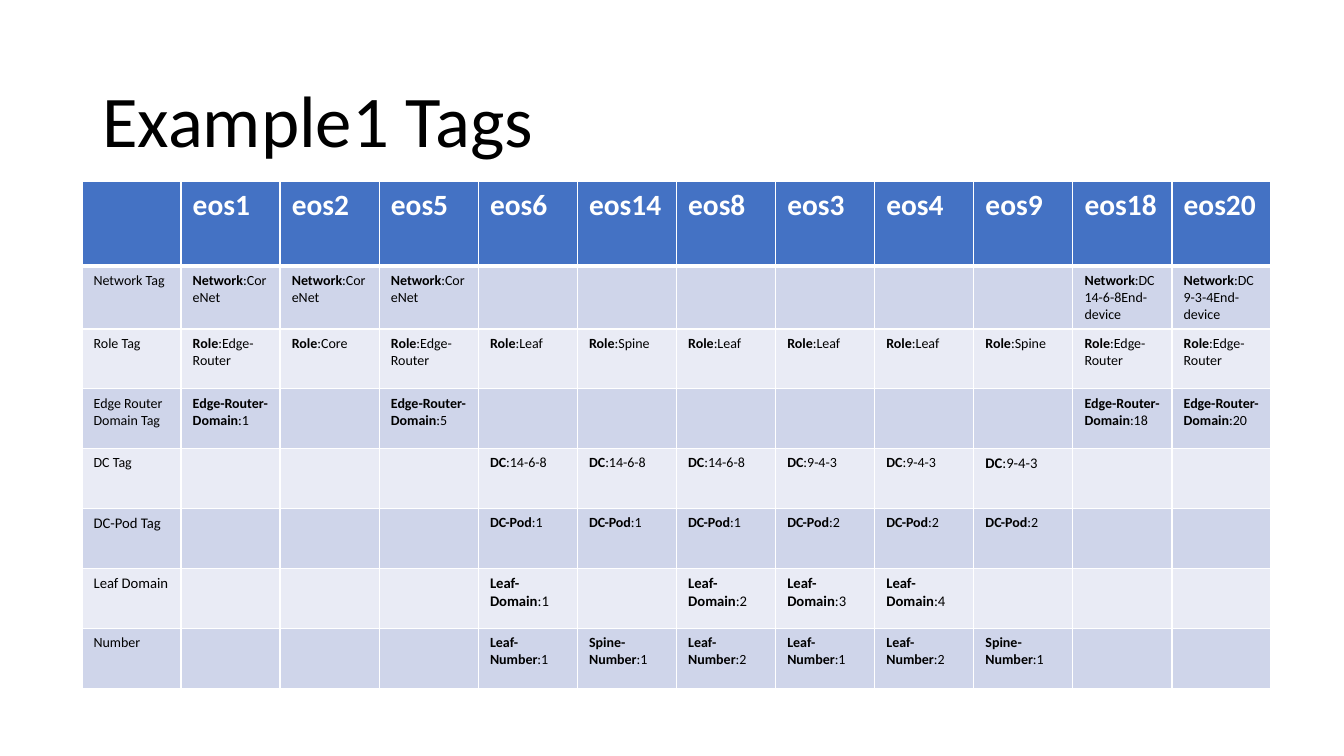
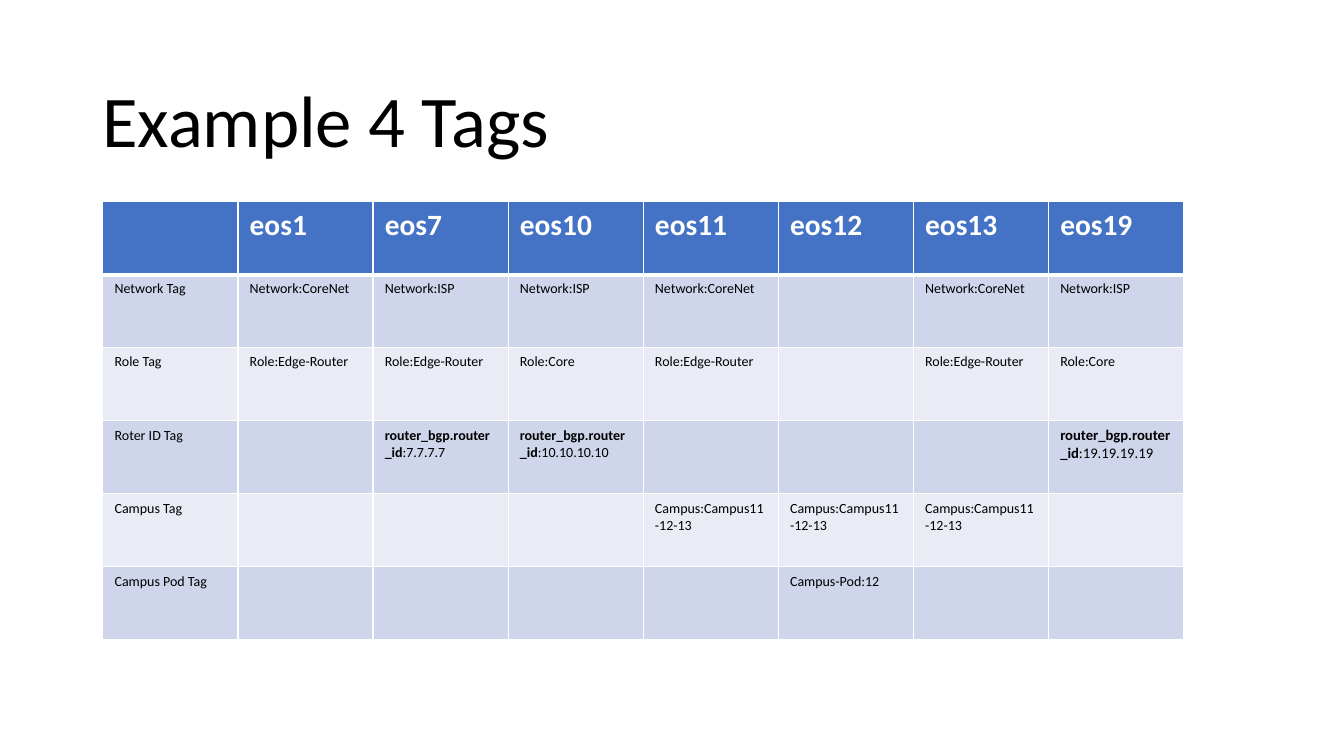
from lxml import etree
from pptx import Presentation
from pptx.dml.color import RGBColor as RGB
from pptx.enum.text import MSO_ANCHOR as ANCHOR, MSO_AUTO_SIZE as AUTO, PP_ALIGN as ALIGN
from pptx.oxml.ns import qn
from pptx.util import Pt

COLORS = {
    "text": "000000",
    "light": "FFFFFF",
    "header": "4472C4",
    "odd": "CFD5EA",
    "even": "E9EBF5",
}


class Deck:
    font = "Calibri"
    title_size, header_size, body_size, large_size = 52, 21, 10, 10.5
    margin_x, margin_y = 8.4, 4.3
    rule, header_rule = 1, 3

    def __init__(self):
        self.prs = Presentation()
        self.prs.slide_width, self.prs.slide_height = Pt(960), Pt(540)
        self.s = None

    def color(self, name):
        return RGB.from_string(COLORS[name])

    def run(self, p, text, size, color="text", bold=False):
        r = p.add_run()
        r.text = text
        r.font.name, r.font.size, r.font.bold = self.font, Pt(size), bold
        r.font.color.rgb = self.color(color)

    def slide(self, title):
        self.s = self.prs.slides.add_slide(self.prs.slide_layouts[5])
        sp = self.s.shapes.title
        sp.left, sp.top, sp.width, sp.height = Pt(66), Pt(44), Pt(828), Pt(89)
        tf = sp.text_frame
        tf.auto_size, tf.word_wrap = AUTO.NONE, True
        tf.vertical_anchor = ANCHOR.MIDDLE
        p = tf.paragraphs[0]
        p.alignment, p.line_spacing = ALIGN.LEFT, 0.9
        self.run(p, title, self.title_size)

    def borders(self, cell, top, bottom):
        tcPr = cell._tc.get_or_add_tcPr()
        sides = {"L": self.rule, "R": self.rule, "T": top, "B": bottom}
        for i, (side, width) in enumerate(sides.items()):
            ln = etree.Element(qn(f"a:ln{side}"), w=str(Pt(width)))
            fill = etree.SubElement(ln, qn("a:solidFill"))
            etree.SubElement(fill, qn("a:srgbClr"), val=COLORS["light"])
            tcPr.insert(i, ln)

    def cell(self, cell, row, text, size, bold_keys):
        fill = "header" if row == 0 else "odd" if row % 2 else "even"
        cell.fill.solid()
        cell.fill.fore_color.rgb = self.color(fill)
        cell.margin_left = cell.margin_right = Pt(self.margin_x)
        cell.margin_top = cell.margin_bottom = Pt(self.margin_y)
        self.borders(cell,
                     self.header_rule if row == 1 else self.rule,
                     self.header_rule if row == 0 else self.rule)
        p = cell.text_frame.paragraphs[0]
        key, colon, value = text.partition(":")
        if row == 0 and text:
            self.run(p, text, self.header_size, "light", True)
        elif key in bold_keys:
            self.run(p, key, size, bold=True)
            self.run(p, colon + value, size)
        elif text:
            self.run(p, text, size)

    def table(self, left, top, col_width, heights, rows, bold_keys, large):
        cols = len(rows[0])
        tbl = self.s.shapes.add_table(len(rows), cols, Pt(left), Pt(top),
                                      Pt(col_width * cols), Pt(sum(heights))).table
        for col in tbl.columns:
            col.width = Pt(col_width)
        for i, (texts, height) in enumerate(zip(rows, heights)):
            tbl.rows[i].height = Pt(height)
            for j, text in enumerate(texts):
                size = self.large_size if (i, j) in large else self.body_size
                self.cell(tbl.cell(i, j), i, text, size, bold_keys)


def blank(count):
    return [""] * count


def main():
    deck = Deck()
    core, edge = "Network:CoreNet", "Role:Edge-Router"
    leaf, spine = "Role:Leaf", "Role:Spine"

    deck.slide("Example1 Tags")
    rows = [
        ["", "eos1", "eos2", "eos5", "eos6", "eos14", "eos8", "eos3", "eos4",
         "eos9", "eos18", "eos20"],
        ["Network Tag", core, core, core, *blank(6),
         "Network:DC14-6-8End-device", "Network:DC9-3-4End-device"],
        ["Role Tag", edge, "Role:Core", edge, leaf, spine, leaf, leaf, leaf,
         spine, edge, edge],
        ["Edge Router Domain Tag", "Edge-Router-Domain:1", "", "Edge-Router-Domain:5",
         *blank(6), "Edge-Router-Domain:18", "Edge-Router-Domain:20"],
        ["DC Tag", *blank(3), *["DC:14-6-8"] * 3, *["DC:9-4-3"] * 3, *blank(2)],
        ["DC-Pod Tag", *blank(3), *["DC-Pod:1"] * 3, *["DC-Pod:2"] * 3, *blank(2)],
        ["Leaf Domain", *blank(3), "Leaf-Domain:1", "", "Leaf-Domain:2",
         "Leaf-Domain:3", "Leaf-Domain:4", *blank(3)],
        ["Number", *blank(3), "Leaf-Number:1", "Spine-Number:1", "Leaf-Number:2",
         "Leaf-Number:1", "Leaf-Number:2", "Spine-Number:1", *blank(2)],
    ]
    keys = {"Network", "Role", "Edge-Router-Domain", "DC", "DC-Pod",
            "Leaf-Domain", "Leaf-Number", "Spine-Number"}
    large = {(4, 9), (5, 0)} | {(6, j) for j in range(12)}
    deck.table(58.5, 129.6, 70.8, [60.4] + [42.8] * 7, rows, keys, large)

    deck.slide("Example 4 Tags")
    isp, campus = "Network:ISP", "Campus:Campus11-12-13"
    rows = [
        ["", "eos1", "eos7", "eos10", "eos11", "eos12", "eos13", "eos19"],
        ["Network Tag", core, isp, isp, core, "", core, isp],
        ["Role Tag", edge, edge, "Role:Core", edge, "", edge, "Role:Core"],
        ["Roter ID Tag", "", "router_bgp.router_id:7.7.7.7",
         "router_bgp.router_id:10.10.10.10", *blank(3),
         "router_bgp.router_id:19.19.19.19"],
        ["Campus Tag", *blank(3), *[campus] * 3, ""],
        ["Campus Pod Tag", *blank(4), "Campus-Pod:12", *blank(2)],
    ]
    deck.table(73.5, 144, 96.5, [52.2] * 6, rows, {"router_bgp.router_id"}, {(3, 7)})

    deck.prs.save("out.pptx")


if __name__ == "__main__":
    main()
